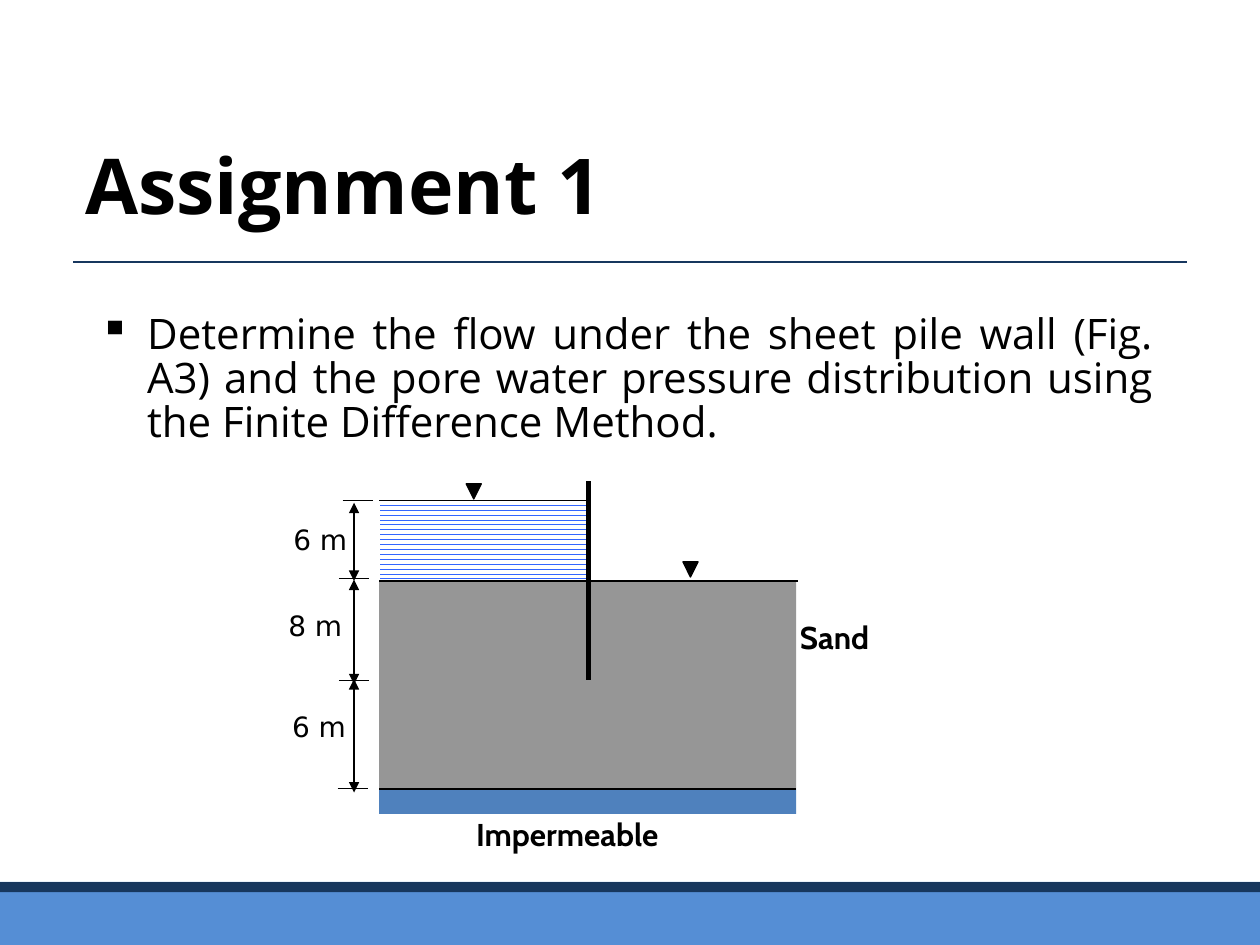
from dataclasses import dataclass

from lxml.etree import SubElement
from pptx import Presentation
from pptx.dml.color import RGBColor
from pptx.enum.dml import MSO_PATTERN
from pptx.enum.shapes import MSO_CONNECTOR, MSO_SHAPE
from pptx.enum.text import MSO_ANCHOR, PP_ALIGN
from pptx.oxml.ns import qn
from pptx.util import Inches, Pt


@dataclass(frozen=True)
class Theme:
    ink: str = "000000"
    paper: str = "FFFFFF"
    navy: str = "17375E"
    band: str = "558ED5"
    rock: str = "4F81BD"
    sand: str = "969696"
    water: str = "3366FF"
    text_font: str = "Open Sans"
    soil_font: str = "Cabin"
    size_font: str = "DejaVu Sans"
    title: int = 44
    body: int = 24
    soil: int = 18
    dimension: int = 16
    thin: float = 0.75
    medium: float = 1.25
    thick: float = 3


THEME = Theme()
COLUMNS, ROWS = 100, 75  # square cells that cover the slide
CELL = Inches(0.1)

# Section through the ground, in grid cells
LEFT, RIGHT, PILE = 30.1, 63.2, 46.7
WATER, GROUND, TOE, BASE = 39.7, 46.1, 54, 62.6
ROCK_DEPTH = 2
DIMENSION_X = 28.1


def cells(*values):
    return [round(value * CELL) for value in values]


def color(value):
    return RGBColor.from_string(value)


def add_line(slide, start, end, width=THEME.thin, ink=THEME.ink, arrows=False):
    line = slide.shapes.add_connector(MSO_CONNECTOR.STRAIGHT, *cells(*start, *end))
    line.line.color.rgb = color(ink)
    line.line.width = Pt(width)
    if arrows:
        outline = line.line._get_or_add_ln()
        for tag in ("a:headEnd", "a:tailEnd"):
            SubElement(outline, qn(tag), type="triangle")
    SubElement(line._element.spPr, qn("a:effectLst"))


def add_block(slide, box, fill, kind=MSO_SHAPE.RECTANGLE):
    shape = slide.shapes.add_shape(kind, *cells(*box))
    shape.shadow.inherit = False
    shape.fill.solid()
    shape.fill.fore_color.rgb = color(fill)
    shape.line.fill.background()
    return shape


def add_water(slide, box):
    fill = add_block(slide, box, THEME.paper).fill
    fill.patterned()
    fill.pattern = MSO_PATTERN.WAVE
    fill.fore_color.rgb = color(THEME.water)
    fill.back_color.rgb = color(THEME.paper)


def add_level_mark(slide, left, surface):
    """Small triangle that points down at a water surface."""
    mark = add_block(slide, (left, surface - 1.3, 1.2, 1.2), THEME.ink,
                     MSO_SHAPE.ISOSCELES_TRIANGLE)
    mark.line.color.rgb = color(THEME.ink)
    mark.line.width = Pt(THEME.thin)
    mark._element.spPr.xfrm.set("flipV", "1")


def add_text(slide, box, text, size, font, bold=False, wrap=True,
             anchor=MSO_ANCHOR.TOP, bullet=None):
    frame = slide.shapes.add_textbox(*cells(*box)).text_frame
    frame.word_wrap = wrap
    frame.vertical_anchor = anchor
    paragraph = frame.paragraphs[0]
    if bullet:
        properties = paragraph._p.get_or_add_pPr()
        properties.set("marL", str(Inches(0.38)))
        properties.set("indent", str(-Inches(0.38)))
        SubElement(properties, qn("a:buChar"), char=bullet)
        paragraph.alignment = PP_ALIGN.JUSTIFY
        paragraph.line_spacing = 0.88
    run = paragraph.add_run()
    run.text = text
    run.font.size = Pt(size)
    run.font.name = font
    run.font.bold = bold
    run.font.color.rgb = color(THEME.ink)


def add_frame(slide):
    """Title, rule and the band at the foot."""
    add_text(slide, (5.8, 8.3, 90, 12.5), "Assignment 1", THEME.title,
             THEME.text_font, bold=True, anchor=MSO_ANCHOR.MIDDLE)
    add_line(slide, (5.8, 20.8), (COLUMNS - 5.8, 20.8), ink=THEME.navy)
    add_block(slide, (0, 70, COLUMNS, ROWS - 70), THEME.band)
    add_block(slide, (0, 70, COLUMNS, 0.8), THEME.navy)


def add_section(slide):
    """Water, sand and rock around the sheet pile wall."""
    width = RIGHT - LEFT
    add_level_mark(slide, 37, WATER)
    add_level_mark(slide, 54.2, GROUND - 0.2)
    add_block(slide, (LEFT, BASE, width, ROCK_DEPTH), THEME.rock)
    add_block(slide, (LEFT, GROUND, width, BASE - GROUND), THEME.sand)
    add_line(slide, (LEFT, BASE), (RIGHT, BASE), THEME.medium)
    add_water(slide, (LEFT + 0.1, WATER, PILE - LEFT - 0.3, GROUND - WATER - 0.1))
    add_line(slide, (LEFT, WATER), (PILE - 0.1, WATER))
    add_line(slide, (LEFT, GROUND), (RIGHT + 0.1, GROUND), THEME.medium)
    add_line(slide, (PILE, WATER - 1.5), (PILE, TOE), THEME.thick)
    for name, box in (("Impermeable", (36.8, 64.2, 16.5, 4)),
                      ("Sand", (62.5, 48.6, 12.7, 4))):
        add_text(slide, box, name, THEME.soil, THEME.soil_font, bold=True)


def add_dimensions(slide):
    ticks = ((27.2, WATER), (26.9, GROUND - 0.2), (26.9, TOE), (26.8, BASE))
    for left, level in ticks:
        add_line(slide, (left, level), (left + 2.4, level))
    spans = (("6 m", WATER + 0.2, GROUND, 22.3, 41),
             ("8 m", GROUND - 0.1, TOE + 0.3, 21.9, 47.8),
             ("6 m", TOE - 0.1, BASE + 0.3, 22.2, 55.8))
    for depth, top, bottom, left, label_top in spans:
        add_line(slide, (DIMENSION_X, top), (DIMENSION_X, bottom), arrows=True)
        add_text(slide, (left, label_top, 6.4, 3.7), depth, THEME.dimension,
                 THEME.size_font, wrap=False)


def main():
    presentation = Presentation()
    presentation.slide_width, presentation.slide_height = cells(COLUMNS, ROWS)
    slide = presentation.slides.add_slide(presentation.slide_layouts[6])
    add_frame(slide)
    add_text(slide, (6.9, 24.4, 85.6, 11.7),
             "Determine the flow under the sheet pile wall (Fig. A3) and the pore "
             "water pressure distribution using the Finite Difference Method.",
             THEME.body, THEME.text_font, bullet="▪")
    add_section(slide)
    add_dimensions(slide)
    presentation.save("out.pptx")


if __name__ == "__main__":
    main()
